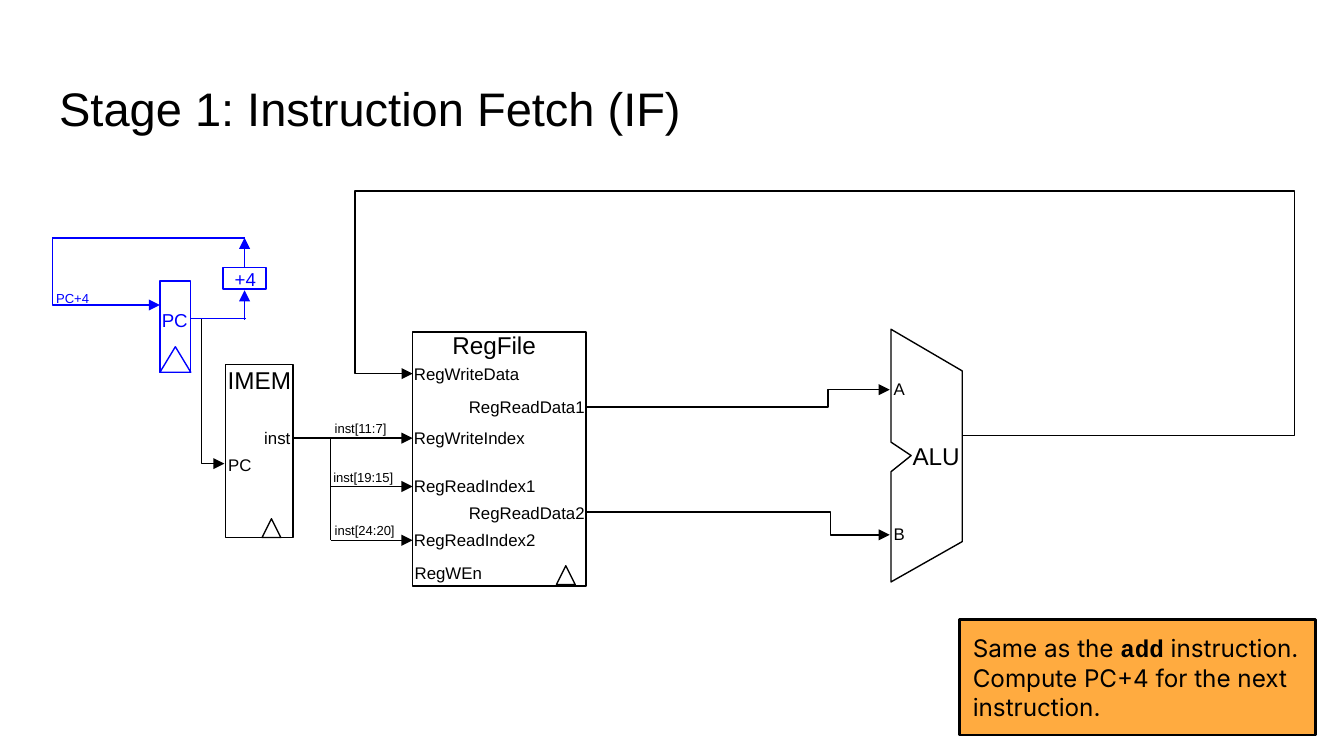
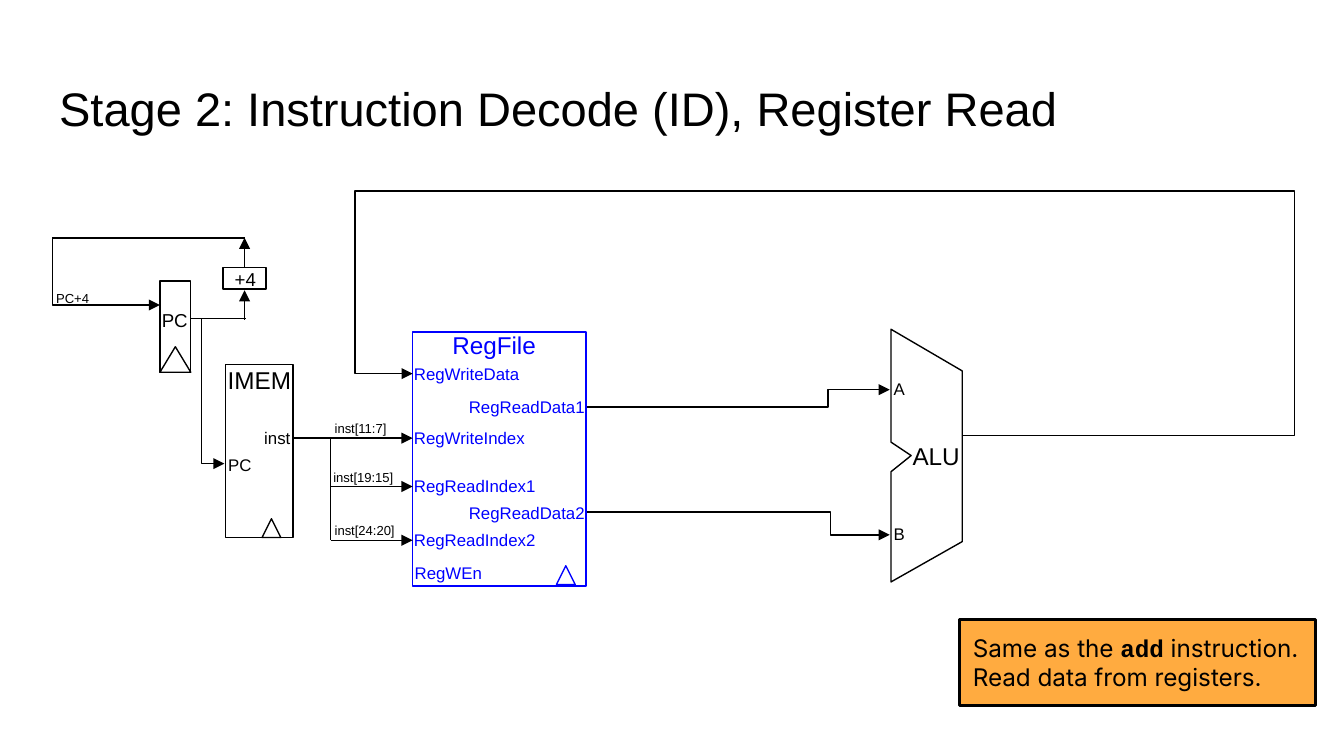
from lxml import etree
from pptx import Presentation
from pptx.dml.color import RGBColor
from pptx.enum.shapes import MSO_CONNECTOR, MSO_SHAPE
from pptx.enum.text import MSO_ANCHOR, MSO_AUTO_SIZE, PP_ALIGN
from pptx.oxml.ns import qn
from pptx.util import Inches, Pt

LEFT, CENTER, RIGHT = PP_ALIGN.LEFT, PP_ALIGN.CENTER, PP_ALIGN.RIGHT
TOP, MIDDLE = MSO_ANCHOR.TOP, MSO_ANCHOR.MIDDLE
GROW, FIXED = MSO_AUTO_SIZE.SHAPE_TO_FIT_TEXT, MSO_AUTO_SIZE.NONE
RECTANGLE, TRIANGLE = MSO_SHAPE.RECTANGLE, MSO_SHAPE.ISOSCELES_TRIANGLE
STRAIGHT = MSO_CONNECTOR.STRAIGHT
TITLE_ONLY = 5
SLIDE_WIDTH = Inches(10)
SLIDE_HEIGHT = SLIDE_WIDTH * 9 // 16

COLORS = {"ink": "000000", "active": "0000FF", "callout": "FFAB40"}
FONTS = {"main": "Arial", "code": "Courier New", "note": "Inter"}
WIRE_WIDTH = 0.75
HEADING, PORT, UNIT, WIRE_LABEL = 13, 9, 10, 7

REGISTER_PORTS = [
    ("RegWriteData", (3.08, 2.71, 0.79, 0.15), LEFT),
    ("RegWriteIndex", (3.08, 3.18, 0.85, 0.15), LEFT),
    ("RegReadIndex1", (3.08, 3.54, 0.91, 0.15), LEFT),
    ("RegReadIndex2", (3.08, 3.94, 0.91, 0.15), LEFT),
    ("RegReadData1", (3.48, 2.95, 0.87, 0.15), RIGHT),
    ("RegReadData2", (3.48, 3.74, 0.87, 0.15), RIGHT),
    ("RegWEn", (3.08, 4.19, 0.51, 0.15), CENTER),
]
INSTRUCTION_FIELDS = [
    ("inst[11:7]", (2.49, 3.13, 0.42, 0.12), 2.18, 3.26),
    ("inst[19:15]", (2.48, 3.49, 0.48, 0.12), 2.46, 3.62),
    ("inst[24:20]", (2.49, 3.89, 0.48, 0.12), 2.46, 4.02),
]
ALU_OUTLINE = [(6.63, 3.29), (6.63, 2.45), (7.16, 2.76), (7.16, 4.03),
               (6.63, 4.33), (6.63, 3.51), (6.78, 3.39)]
WRITE_BACK = [(7.16, 3.24), (9.63, 3.24), (9.63, 1.42), (2.64, 1.42),
              (2.64, 2.78), (3.07, 2.78)]
READ_DATA_1 = [(4.37, 3.03), (6.16, 3.03), (6.16, 2.9), (6.62, 2.9)]
READ_DATA_2 = [(4.37, 3.81), (6.18, 3.81), (6.18, 3.98), (6.62, 3.98)]

STAGES = [
    {"title": "Stage 1: Instruction Fetch (IF)", "active": "fetch",
     "note": " instruction. Compute PC+4 for the next instruction.", "note_height": 0.86},
    {"title": "Stage 2: Instruction Decode (ID), Register Read", "active": "registers",
     "note": " instruction. Read data from registers.", "note_height": 0.64},
]


def rgb(name):
    return RGBColor.from_string(COLORS[name])


def inches(values):
    return [Inches(value) for value in values]


def apply(target, values):
    for name, value in values.items():
        setattr(target, name, value)


def format_frame(frame, anchor, insets=(0, 0, 0, 0), auto_size=FIXED):
    left, top, right, bottom = inches(insets)
    apply(frame, {"word_wrap": True, "auto_size": auto_size, "vertical_anchor": anchor,
                  "margin_left": left, "margin_top": top,
                  "margin_right": right, "margin_bottom": bottom})


def add_run(paragraph, text, size, color="ink", font="main", bold=False):
    run = paragraph.add_run()
    run.text = text
    apply(run.font, {"name": FONTS[font], "size": Pt(size), "bold": bold})
    run.font.color.rgb = rgb(color)


def add_label(shapes, text, box, size, color="ink", align=CENTER,
              insets=(0, 0, 0, 0), auto_size=GROW):
    frame = shapes.add_textbox(*inches(box)).text_frame
    format_frame(frame, TOP, insets, auto_size)
    frame.paragraphs[0].alignment = align
    add_run(frame.paragraphs[0], text, size, color)


def set_line(shape, color, arrow=False, width=WIRE_WIDTH):
    shape.line.color.rgb = rgb(color)
    shape.line.width = Pt(width)
    if arrow:
        line = shape.line._get_or_add_ln()
        etree.SubElement(line, qn("a:tailEnd"), type="triangle")


def add_outline(shapes, kind, box, color="ink"):
    shape = shapes.add_shape(kind, *inches(box))
    shape.shadow.inherit = False
    shape.fill.background()
    set_line(shape, color)


def add_line(shapes, start, end, color="ink", arrow=True):
    line = shapes.add_connector(STRAIGHT, *inches(start + end))
    set_line(line, color, arrow)
    etree.SubElement(line._element.spPr, qn("a:effectLst"))


def add_path(shapes, points, color="ink", closed=False):
    start, *rest = [inches(point) for point in points]
    builder = shapes.build_freeform(*start)
    builder.add_line_segments(rest, close=closed)
    shape = builder.convert_to_shape()
    shape.shadow.inherit = False
    shape.fill.background()
    set_line(shape, color, arrow=not closed)


def set_title(slide, text):
    title = slide.shapes.title
    left, top, width, height = inches((0.34, 0.49, 9.32, 0.63))
    apply(title, {"left": left, "top": top, "width": width, "height": height})
    format_frame(title.text_frame, TOP, (0.1,) * 4)
    title.text_frame.paragraphs[0].alignment = LEFT
    add_run(title.text_frame.paragraphs[0], text, 25.2)


def add_register_file(shapes, color):
    add_outline(shapes, RECTANGLE, (3.07, 2.47, 1.29, 1.89), color)
    add_label(shapes, "RegFile", (3.08, 2.46, 1.29, 0.24), HEADING, color,
              insets=(0, 0, 0.1, 0), auto_size=FIXED)
    for text, box, align in REGISTER_PORTS:
        add_label(shapes, text, box, PORT, color, align)
    add_outline(shapes, TRIANGLE, (4.14, 4.21, 0.14, 0.14), color)


def add_instruction_memory(shapes):
    add_outline(shapes, RECTANGLE, (1.68, 2.71, 0.5, 1.29))
    add_label(shapes, "IMEM", (1.68, 2.72, 0.5, 0.25), HEADING,
              insets=(0, 0, 0, 0.1), auto_size=FIXED)
    add_label(shapes, "PC", (1.68, 3.38, 0.21, 0.15), PORT)
    add_label(shapes, "inst", (1.89, 3.18, 0.27, 0.15), PORT, align=RIGHT)
    add_outline(shapes, TRIANGLE, (1.95, 3.86, 0.14, 0.14))
    for text, box, start, y in INSTRUCTION_FIELDS:
        add_line(shapes, (start, y), (3.07, y))
        add_label(shapes, text, box, WIRE_LABEL, align=LEFT)
    add_line(shapes, (2.46, 3.26), (2.46, 4.02), arrow=False)


def add_alu(shapes):
    add_path(shapes, ALU_OUTLINE, closed=True)
    add_label(shapes, "ALU", (6.78, 3.28, 0.37, 0.22), HEADING)
    for text, y in (("A", 2.82), ("B", 3.9)):
        add_label(shapes, text, (6.65, y, 0.1, 0.15), PORT, align=LEFT)
    for wire in (READ_DATA_1, READ_DATA_2, WRITE_BACK):
        add_path(shapes, wire)


def add_program_counter(shapes, color):
    add_path(shapes, [(1.5, 2.37), (1.5, 3.45), (1.67, 3.45)])
    adder = shapes.add_group_shape().shapes
    add_outline(adder, RECTANGLE, (1.66, 1.99, 0.32, 0.16), color)
    add_label(adder, "+4", (1.67, 1.99, 0.31, 0.17), UNIT, color)
    add_line(shapes, (0.39, 1.77), (1.82, 1.77), color, arrow=False)
    add_line(shapes, (1.82, 2.38), (1.82, 2.16), color)
    add_line(shapes, (1.82, 1.99), (1.82, 1.77), color)
    add_label(shapes, "PC+4", (0.4, 2.16, 0.28, 0.12), WIRE_LABEL, color)
    add_path(shapes, [(0.39, 1.77), (0.39, 2.27), (1.19, 2.27)], color)
    counter = shapes.add_group_shape().shapes
    add_outline(counter, RECTANGLE, (1.19, 2.09, 0.23, 0.68), color)
    add_outline(counter, TRIANGLE, (1.19, 2.58, 0.23, 0.19), color)
    add_label(counter, "PC", (1.2, 2.3, 0.2, 0.17), UNIT, color)
    add_line(shapes, (1.42, 2.37), (1.83, 2.37), color, arrow=False)


def add_callout(shapes, note, height):
    shape = shapes.add_shape(RECTANGLE, *inches((7.14, 4.61, 2.65, height)))
    shape.shadow.inherit = False
    shape.fill.solid()
    shape.fill.fore_color.rgb = rgb("callout")
    set_line(shape, "ink", width=1.5)
    format_frame(shape.text_frame, MIDDLE, (0.1,) * 4, GROW)
    paragraph = shape.text_frame.paragraphs[0]
    paragraph.alignment = LEFT
    add_run(paragraph, "Same as the ", HEADING, font="note")
    add_run(paragraph, "add", HEADING, font="code", bold=True)
    add_run(paragraph, note, HEADING, font="note")


def add_stage(presentation, stage):
    slide = presentation.slides.add_slide(presentation.slide_layouts[TITLE_ONLY])
    shapes = slide.shapes
    color = {"fetch": "ink", "registers": "ink", stage["active"]: "active"}
    set_title(slide, stage["title"])
    add_register_file(shapes, color["registers"])
    add_instruction_memory(shapes)
    add_alu(shapes)
    add_program_counter(shapes, color["fetch"])
    add_callout(shapes, stage["note"], stage["note_height"])


def main():
    presentation = Presentation()
    apply(presentation, {"slide_width": SLIDE_WIDTH, "slide_height": SLIDE_HEIGHT})
    for stage in STAGES:
        add_stage(presentation, stage)
    presentation.save("out.pptx")


if __name__ == "__main__":
    main()
